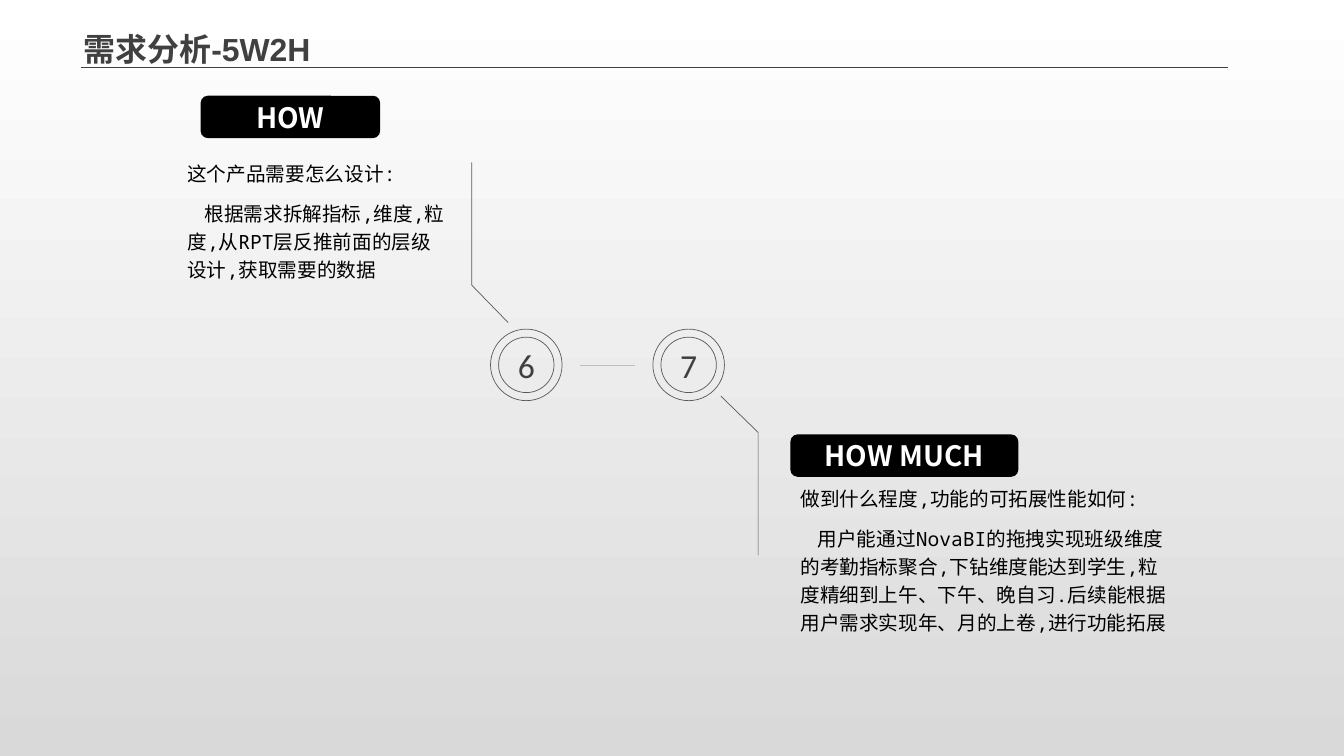
from dataclasses import dataclass

from lxml import etree
from pptx import Presentation, util as u
from pptx.dml.color import RGBColor
from pptx.enum import shapes, text
from pptx.oxml.ns import qn

COLORS = {
    "top": "FFFFFF",
    "bottom": "D9D9D9",
    "ink": "404040",
    "outline": "595959",
    "link": "BFBFBF",
    "black": "000000",
    "white": "FFFFFF",
}
CJK_FONT = "Noto Sans CJK SC"
HAIRLINE = u.Pt(0.5)


@dataclass
class Badge:
    number: str
    center: float


@dataclass
class Topic:
    heading: str
    heading_box: tuple[float, float, float, float]
    question: str
    answer: str
    answer_box: tuple[float, float, float, float]
    leader: list[tuple[float, float]]


BADGE_Y = 3.62
BADGES = [Badge("6", 5.22), Badge("7", 6.83)]
TOPICS = [
    Topic(
        "HOW",
        (1.99, 0.95, 1.78, 0.42),
        "这个产品需要怎么设计:",
        "根据需求拆解指标,维度,粒度,从RPT层反推前面的层级设计,获取需要的数据",
        (1.76, 1.51, 2.78, 1.35),
        [(4.68, 1.61), (4.68, 2.83), (5.04, 3.2)],
    ),
    Topic(
        "HOW MUCH",
        (7.84, 4.31, 2.26, 0.42),
        "做到什么程度,功能的可拓展性能如何:",
        "用户能通过NovaBI的拖拽实现班级维度的考勤指标聚合,下钻维度能达到学生,"
        "粒度精细到上午、下午、晚自习.后续能根据用户需求实现年、月的上卷,进行功能拓展",
        (7.84, 4.73, 3.84, 2.32),
        [(7.52, 5.51), (7.52, 4.29), (7.15, 3.93)],
    ),
]


def rgb(name: str) -> RGBColor:
    return RGBColor.from_string(COLORS[name])


def inches(*lengths: float) -> list[u.Length]:
    return [u.Inches(length) for length in lengths]


def style(paragraph, size: float, font: str, color: str, bold: bool = False) -> None:
    paragraph.font.size = u.Pt(size)
    paragraph.font.name = font
    paragraph.font.bold = bold
    paragraph.font.color.rgb = rgb(color)
    latin = paragraph.font._element.find(qn("a:latin"))
    east_asian = etree.Element(qn("a:ea"), typeface=CJK_FONT)
    latin.addnext(east_asian)


def center_label(shape, label: str, size: float, font: str, color: str, bold: bool = False) -> None:
    frame = shape.text_frame
    frame.word_wrap = False
    frame.vertical_anchor = text.MSO_ANCHOR.MIDDLE
    frame.text = label
    paragraph = frame.paragraphs[0]
    paragraph.alignment = text.PP_ALIGN.CENTER
    style(paragraph, size, font, color, bold)


def outline(shape) -> None:
    shape.shadow.inherit = False
    shape.fill.background()
    shape.line.color.rgb = rgb("outline")
    shape.line.width = HAIRLINE


def draw_rule(slide, start: tuple[float, float], end: tuple[float, float], color: str) -> None:
    rule = slide.shapes.add_connector(shapes.MSO_CONNECTOR.STRAIGHT, *inches(*start, *end))
    rule.line.color.rgb = rgb(color)
    rule.line.width = HAIRLINE
    etree.SubElement(rule._element.spPr, qn("a:effectLst"))


def draw_badge(slide, badge: Badge) -> None:
    group = slide.shapes.add_group_shape()
    for diameter in (0.71, 0.55):
        left, top = badge.center - diameter / 2, BADGE_Y - diameter / 2
        ring = group.shapes.add_shape(
            shapes.MSO_SHAPE.OVAL, *inches(left, top, diameter, diameter)
        )
        outline(ring)
    center_label(ring, badge.number, 24, "Calibri", "ink")


def draw_topic(slide, topic: Topic) -> None:
    start, *bends = [inches(*point) for point in topic.leader]
    builder = slide.shapes.build_freeform(*start)
    builder.add_line_segments(bends, close=False)
    outline(builder.convert_to_shape())

    frame = slide.shapes.add_textbox(*inches(*topic.answer_box)).text_frame
    frame.word_wrap = True
    frame.text = f"{topic.question}\n{topic.answer}"
    for paragraph in frame.paragraphs:
        paragraph.line_spacing = 1.2
        style(paragraph, 14, "Noto Sans Mono", "black")
    answer = frame.paragraphs[1]
    answer.space_before = u.Pt(8.5)
    answer._p.get_or_add_pPr().set("indent", str(u.Inches(0.17)))

    heading = slide.shapes.add_shape(
        shapes.MSO_SHAPE.ROUNDED_RECTANGLE, *inches(*topic.heading_box)
    )
    heading.shadow.inherit = False
    heading.fill.solid()
    heading.fill.fore_color.rgb = rgb("black")
    heading.line.fill.background()
    center_label(heading, topic.heading, 20, CJK_FONT, "white", bold=True)


def draw_title(slide) -> None:
    draw_rule(slide, (0.8, 0.67), (12.18, 0.67), "ink")
    title = slide.shapes.add_textbox(*inches(0.64, 0.29, 2.63, 0.38))
    frame = title.text_frame
    frame.margin_left = frame.margin_right = frame.margin_top = frame.margin_bottom = 0
    center_label(title, "需求分析-5W2H", 22.8, "Arial", "ink", bold=True)


def paint_background(slide) -> None:
    fill = slide.background.fill
    fill.gradient()
    fill.gradient_angle = 270
    for stop, color, position in zip(fill.gradient_stops, ("top", "bottom"), (0, 1)):
        stop.color.rgb = rgb(color)
        stop.position = position


def main() -> None:
    deck = Presentation()
    deck.slide_width, deck.slide_height = inches(13.33, 7.5)
    slide = deck.slides.add_slide(deck.slide_layouts[6])
    paint_background(slide)
    draw_title(slide)
    for badge in BADGES:
        draw_badge(slide, badge)
    draw_rule(slide, (5.75, BADGE_Y), (6.3, BADGE_Y), "link")
    for topic in TOPICS:
        draw_topic(slide, topic)
    deck.save("out.pptx")


if __name__ == "__main__":
    main()
